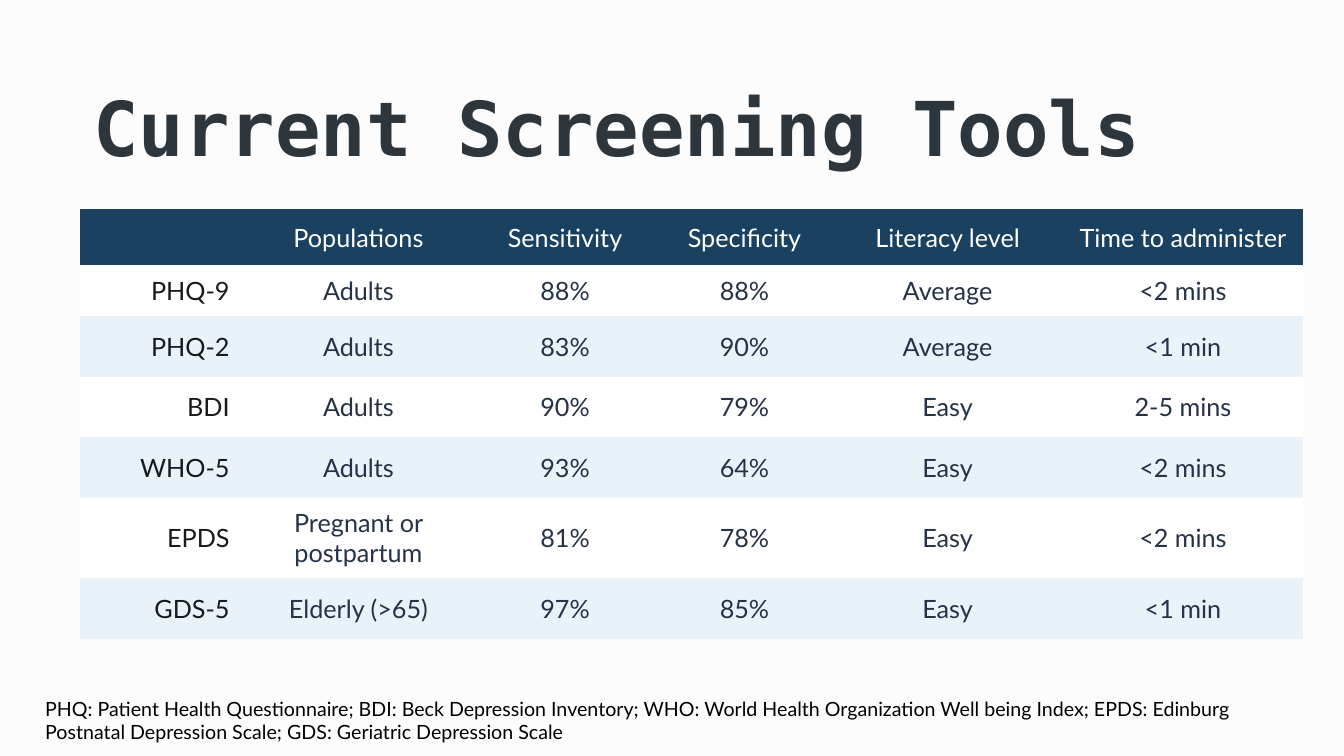
from dataclasses import dataclass

from lxml import etree
from pptx import Presentation
from pptx.dml.color import RGBColor
from pptx.enum.text import MSO_ANCHOR, MSO_AUTO_SIZE, PP_ALIGN
from pptx.oxml.ns import qn
from pptx.util import Pt

LEFT, CENTER, RIGHT = PP_ALIGN.LEFT, PP_ALIGN.CENTER, PP_ALIGN.RIGHT
TOP, MIDDLE = MSO_ANCHOR.TOP, MSO_ANCHOR.MIDDLE
NO_AUTOFIT = MSO_AUTO_SIZE.NONE
TITLE_ONLY = 5


@dataclass(frozen=True)
class Theme:
    # Colours
    background: str = "FCFCFC"
    title: str = "2E363D"
    header_fill: str = "1A415F"
    header_text: str = "FFFFFF"
    row_label: str = "171B1E"
    body: str = "263248"
    bands: tuple = ("FFFFFF", "E9F2F9")
    note: str = "000000"
    # Type
    title_font: str = "DejaVu Sans Mono"
    body_font: str = "Lato"
    title_size: float = 54
    table_size: float = 18
    note_size: float = 14


def apply(target, values):
    for name, value in values.items():
        setattr(target, name, value)


def margins(x, y):
    return {"margin_left": Pt(x), "margin_right": Pt(x),
            "margin_top": Pt(y), "margin_bottom": Pt(y)}


class SlideBuilder:
    def __init__(self, prs, theme):
        self.theme = theme
        self.s = prs.slides.add_slide(prs.slide_layouts[TITLE_ONLY])
        fill = self.s.background.fill
        fill.solid()
        fill.fore_color.rgb = RGBColor.from_string(theme.background)

    def text(self, tf, text, align, color, font, size, bold=False):
        p = tf.paragraphs[0]
        p.alignment = align
        r = p.add_run()
        r.text = text
        apply(r.font, {"name": font, "size": Pt(size), "bold": bold})
        r.font.color.rgb = RGBColor.from_string(color)

    def place(self, sp, box, anchor, inset):
        apply(sp, dict(zip(("left", "top", "width", "height"), map(Pt, box))))
        apply(sp.text_frame, {"word_wrap": True, "auto_size": NO_AUTOFIT,
                              "vertical_anchor": anchor,
                              **margins(inset, inset)})

    def title(self, text, box):
        t = self.theme
        sp = self.s.shapes.title
        self.place(sp, box, MIDDLE, 9.6)
        self.text(sp.text_frame, text, LEFT, t.title, t.title_font,
                  t.title_size, bold=True)

    def note(self, text, box):
        t = self.theme
        sp = self.s.shapes.add_textbox(*map(Pt, box))
        self.place(sp, box, TOP, 7.2)
        self.text(sp.text_frame, text, LEFT, t.note, t.body_font, t.note_size)

    def cell(self, cell, text, align, color, fill):
        apply(cell, {"vertical_anchor": MIDDLE, **margins(9.6, 7.2)})
        tc_pr = cell._tc.get_or_add_tcPr()
        for side in ("a:lnL", "a:lnR", "a:lnT", "a:lnB"):
            line = etree.SubElement(tc_pr, qn(side), w="0")
            etree.SubElement(line, qn("a:noFill"))
        cell.fill.solid()
        cell.fill.fore_color.rgb = RGBColor.from_string(fill)
        if text:
            self.text(cell.text_frame, text, align, color,
                      self.theme.body_font, self.theme.table_size)

    def table(self, rows, left, top, widths, heights):
        t = self.theme
        frame = self.s.shapes.add_table(
            len(rows), len(widths), Pt(left), Pt(top),
            Pt(sum(widths)), Pt(sum(heights)))
        table = frame.table
        apply(table, {"first_row": False, "horz_banding": False})
        for column, width in zip(table.columns, widths):
            column.width = Pt(width)
        for i, (row, height) in enumerate(zip(rows, heights)):
            table.rows[i].height = Pt(height)
            for j, text in enumerate(row):
                if i == 0:
                    look = CENTER, t.header_text, t.header_fill
                else:
                    band = t.bands[(i - 1) % 2]
                    look = ((RIGHT, t.row_label, band) if j == 0
                            else (CENTER, t.body, band))
                self.cell(table.cell(i, j), text, *look)


TOOLS = [
    ("", "Populations", "Sensitivity", "Specificity", "Literacy level",
     "Time to administer"),
    ("PHQ-9", "Adults", "88%", "88%", "Average", "<2 mins"),
    ("PHQ-2", "Adults", "83%", "90%", "Average", "<1 min"),
    ("BDI", "Adults", "90%", "79%", "Easy", "2-5 mins"),
    ("WHO-5", "Adults", "93%", "64%", "Easy", "<2 mins"),
    ("EPDS", "Pregnant or postpartum", "81%", "78%", "Easy", "<2 mins"),
    ("GDS-5", "Elderly (>65)", "97%", "85%", "Easy", "<1 min"),
]
COLUMN_WIDTHS = (116.6, 164.9, 130.3, 126, 164.2, 172.1)
ROW_HEIGHTS = (40, 36.4, 43.2, 43.2, 43.2, 57.6, 43.2)
ABBREVIATIONS = (
    "PHQ: Patient Health Questionnaire; BDI: Beck Depression Inventory; "
    "WHO: World Health Organization Well being Index; "
    "EPDS: Edinburg Postnatal Depression Scale; "
    "GDS: Geriatric Depression Scale")


def main():
    prs = Presentation()
    apply(prs, {"slide_width": Pt(960), "slide_height": Pt(540)})
    slide = SlideBuilder(prs, Theme())

    # Heading
    slide.title("Current Screening Tools", (57, 54.7, 779, 70.6))

    # Comparison of the tools
    slide.table(TOOLS, 57, 149.5, COLUMN_WIDTHS, ROW_HEIGHTS)

    # Abbreviations
    slide.note(ABBREVIATIONS, (25.2, 490.3, 905.8, 49.7))

    prs.save("out.pptx")


if __name__ == "__main__":
    main()
